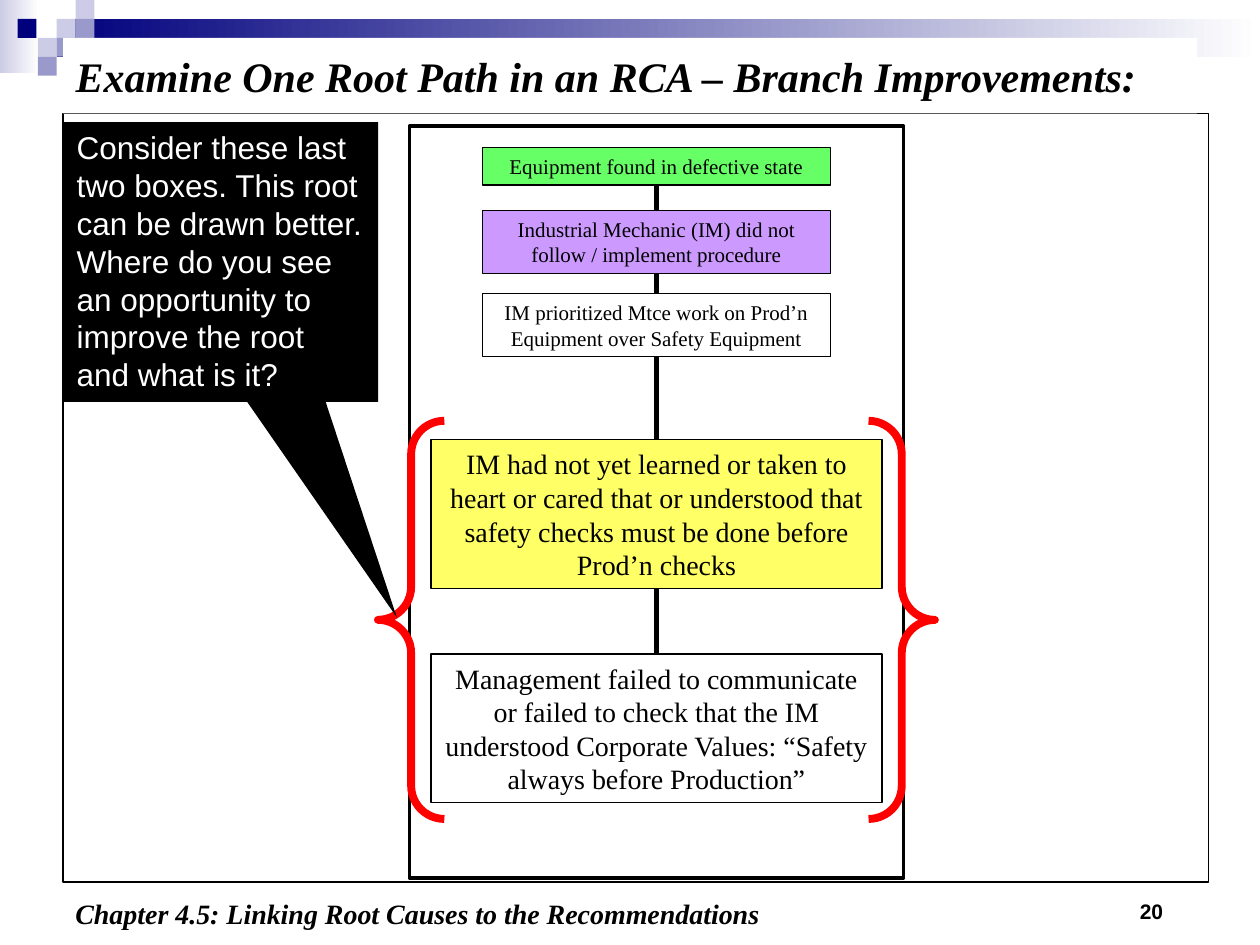
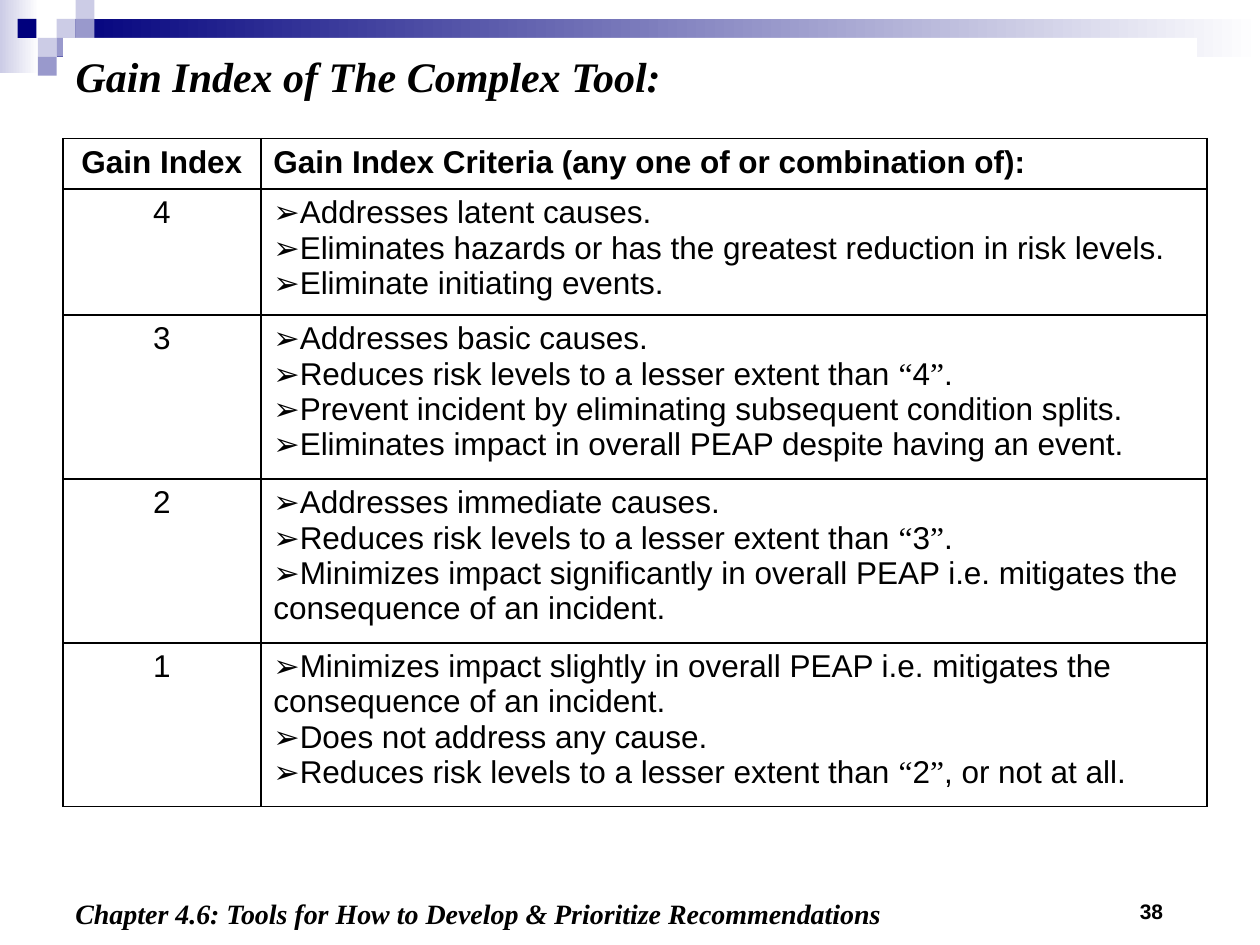
from itertools import groupby, pairwise

from lxml import etree
from pptx import Presentation
from pptx import util as u
from pptx.dml.color import RGBColor
from pptx.enum import shapes, text
from pptx.oxml import parse_xml
from pptx.oxml.ns import nsdecls, qn

COLUMNS, ROWS = 100, 75
WIDTH, HEIGHT = u.Inches(10), u.Inches(7.5)
BLACK, WHITE, RED = "000000", "FFFFFF", "FF0000"
NAVY, LILAC, PALE = "00007D", "9999CC", "CCCCE6"
GREEN, PURPLE, YELLOW = "66FF66", "CC99FF", "FFFF66"
SERIF, SANS = "Times New Roman", "Arial"
RECT = shapes.MSO_SHAPE.RECTANGLE
LEFT, CENTER, RIGHT = (text.PP_ALIGN.LEFT, text.PP_ALIGN.CENTER,
                       text.PP_ALIGN.RIGHT)
MIDDLE = text.MSO_ANCHOR.MIDDLE

TITLE = dict(name=SERIF, size=u.Pt(24), bold=True, italic=True)
CHAPTER = dict(TITLE, size=u.Pt(16))
PAGE = dict(name=SANS, size=u.Pt(12), bold=True)
BODY = dict(name=SANS, size=u.Pt(18), bold=False)
HEAD = dict(BODY, bold=True)
CAUSE = dict(name=SERIF, size=u.Pt(12))
ROOT_CAUSE = dict(CAUSE, size=u.Pt(16))

CAUSE_SPAN, ROOT_SPAN = (38.3, 27.6), (34.2, 35.8)
# span (column, width), row, height, fill, format, wording
CAUSES = [
    (CAUSE_SPAN, 11.7, 3, GREEN, CAUSE, "Equipment found in defective state"),
    (CAUSE_SPAN, 16.7, 5, PURPLE, CAUSE,
     "Industrial Mechanic (IM) did not follow / implement procedure"),
    (CAUSE_SPAN, 23.3, 5, WHITE, CAUSE,
     "IM prioritized Mtce work on Prod’n Equipment over Safety Equipment"),
    (ROOT_SPAN, 34.9, 11.8, YELLOW, ROOT_CAUSE,
     "IM had not yet learned or taken to heart or cared that or understood "
     "that safety checks must be done before Prod’n checks"),
    (ROOT_SPAN, 51.9, 11.8, WHITE, ROOT_CAUSE,
     "Management failed to communicate or failed to check that the IM "
     "understood Corporate Values: “Safety always before Production”"),
]
QUESTION = ("Consider these last two boxes. This root can be drawn better. "
            "Where do you see an opportunity to improve the root and what is it?")

GAIN_HEADS = ("Gain Index", "Gain Index Criteria (any one of or combination of):")
GAINS = {
    "4": ["Addresses latent causes.",
          "Eliminates hazards or has the greatest reduction in risk levels.",
          "Eliminate initiating events."],
    "3": ["Addresses basic causes.",
          "Reduces risk levels to a lesser extent than “4”.",
          "Prevent incident by eliminating subsequent condition splits.",
          "Eliminates impact in overall PEAP despite having an event."],
    "2": ["Addresses immediate causes.",
          "Reduces risk levels to a lesser extent than “3”.",
          "Minimizes impact significantly in overall PEAP i.e. mitigates the "
          "consequence of an incident."],
    "1": ["Minimizes impact slightly in overall PEAP i.e. mitigates the "
          "consequence of an incident.",
          "Does not address any cause.",
          "Reduces risk levels to a lesser extent than “2”, or not at all."],
}


def rgb(hex_colour):
    return RGBColor.from_string(hex_colour)


def across(columns):
    return round(WIDTH * columns / COLUMNS)


def down(rows):
    return round(HEIGHT * rows / ROWS)


def place(column, row, columns, rows):
    return across(column), down(row), across(columns), down(rows)


def paint(target, colour):
    target.fill.solid()
    target.fill.fore_color.rgb = rgb(colour)


def style(obj, values):
    for name, value in values.items():
        setattr(obj, name, value)


def add_run(p, words, fmt, colour=BLACK):
    r = p.add_run()
    r.text = words
    style(r.font, fmt)
    r.font.color.rgb = rgb(colour)


def write(tf, words, fmt, align=LEFT, colour=BLACK, spacing=None, **frame):
    style(tf, dict(word_wrap=True, **frame))
    p = tf.paragraphs[0]
    style(p, dict(alignment=align, line_spacing=spacing))
    add_run(p, words, fmt, colour)


def add_box(slide, at, fill=None, line=None, weight=0.75, kind=RECT):
    sp = slide.shapes.add_shape(kind, *place(*at))
    sp.shadow.inherit = False
    if fill:
        paint(sp, fill)
    else:
        sp.fill.background()
    if line:
        sp.line.color.rgb = rgb(line)
        sp.line.width = u.Pt(weight)
    else:
        sp.line.fill.background()
    return sp


def add_label(slide, at, words, fmt, **options):
    box = slide.shapes.add_textbox(*place(*at))
    write(box.text_frame, words, fmt, **options)


def join(slide, upper, lower):
    line = slide.shapes.add_connector(shapes.MSO_CONNECTOR.STRAIGHT, 0, 0, 0, 0)
    line.begin_connect(upper, 2)
    line.end_connect(lower, 0)
    line.line.color.rgb = rgb(BLACK)
    line.line.width = u.Pt(3)
    etree.SubElement(line.element.spPr, qn("a:effectLst"))


def fade(sp, colour):
    sp.fill.gradient()
    sp.fill.gradient_angle = 0
    for stop, end in zip(sp.fill.gradient_stops, (colour, WHITE)):
        stop.color.rgb = rgb(end)


def decorate_master(prs, slide):
    """Draw the corner mosaic and top band, then move them to the master."""
    side, band = (add_box(slide, at, WHITE)
                  for at in ((0, 0, 3.1, 5.8), (4.5, 1.5, 95.5, 3)))
    fade(side, PALE)
    fade(band, NAVY)
    tile = 1.5
    mosaic = [(3, 1, PALE), (4, 0, PALE), (4, 1, LILAC), (2, 2, PALE),
              (0.93, 1, NAVY), (3, 2, LILAC), (2, 3, LILAC)]
    tiles = [add_box(slide, (x * tile, y * tile, tile, tile), colour)
             for x, y, colour in mosaic]
    tree = prs.slide_master.element.cSld.spTree
    for i, sp in enumerate([side, band, *tiles]):
        tree.insert(2 + i, sp.element)


def add_page(prs, title, chapter, number):
    slide = prs.slides.add_slide(prs.slide_layouts[5])
    sp = slide.shapes.title
    sp.left, sp.top, sp.width, sp.height = place(5, 3, 90, 6)
    paint(sp, WHITE)
    write(sp.text_frame, title, TITLE, vertical_anchor=MIDDLE,
          auto_size=text.MSO_AUTO_SIZE.NONE)
    add_label(slide, (83.3, 70.8, 10, 2.5), number, PAGE, align=RIGHT)
    add_label(slide, (5, 71, 67, 4), chapter, CHAPTER, spacing=0.9)
    return slide


def draw_root_path(slide):
    frame = add_box(slide, (5, 9, 90.9, 61), WHITE, BLACK)
    slide.shapes.title.element.addprevious(frame.element)
    add_box(slide, (32.5, 10, 39.2, 59.7), WHITE, BLACK, 2)
    boxes = []
    for (column, columns), row, rows, fill, fmt, words in CAUSES:
        sp = add_box(slide, (column, row, columns, rows), fill, BLACK)
        write(sp.text_frame, words, fmt, align=CENTER, vertical_anchor=MIDDLE)
        boxes.append(sp)
    for upper, lower in pairwise(boxes):
        join(slide, upper, lower)
    add_box(slide, (30, 33.4, 44.2, 31.6), None, RED, 4.5,
            shapes.MSO_SHAPE.DOUBLE_BRACE)
    callout = add_box(slide, (5.1, 9.7, 24.9, 22.2), BLACK,
                      kind=shapes.MSO_SHAPE.RECTANGULAR_CALLOUT)
    callout.adjustments[0], callout.adjustments[1] = 0.56, 1.27
    write(callout.text_frame, QUESTION, BODY, colour=WHITE,
          margin_right=across(1.2), vertical_anchor=text.MSO_ANCHOR.TOP)


def set_borders(cell):
    tc_pr = cell._tc.get_or_add_tcPr()
    for i, side in enumerate("LRTB"):
        tc_pr.insert(i, parse_xml(
            f'<a:ln{side} {nsdecls("a")} w="12700"><a:solidFill>'
            f'<a:srgbClr val="{BLACK}"/></a:solidFill></a:ln{side}>'))


def add_bullet(p):
    p_pr = p._p.get_or_add_pPr()
    etree.SubElement(p_pr, qn("a:buFont"), typeface=SANS)
    etree.SubElement(p_pr, qn("a:buChar"), char="➢")


def list_criteria(tf, criteria):
    """Write bulleted lines, with the quotation marks in the serif font."""
    for i, line in enumerate(criteria):
        p = tf.add_paragraph() if i else tf.paragraphs[0]
        add_bullet(p)
        for quoted, chars in groupby(line, key=lambda ch: ch in "“”"):
            add_run(p, "".join(chars), dict(BODY, name=SERIF if quoted else SANS))


def draw_gain_table(slide):
    columns, rows = (15.7, 75.1), (4, 10, 13, 13, 13)
    table = slide.shapes.add_table(
        len(rows), len(columns), *place(5, 11, sum(columns), sum(rows))).table
    style(table, dict(first_row=False, horz_banding=False))
    for column, width in zip(table.columns, columns):
        column.width = across(width)
    for row, height in zip(table.rows, rows):
        row.height = down(height)
    for cell in table.iter_cells():
        paint(cell, WHITE)
        set_borders(cell)
    for i, (words, align) in enumerate(zip(GAIN_HEADS, (CENTER, LEFT))):
        write(table.cell(0, i).text_frame, words, HEAD, align=align)
    for i, (index, criteria) in enumerate(GAINS.items(), 1):
        write(table.cell(i, 0).text_frame, index, BODY, align=CENTER)
        list_criteria(table.cell(i, 1).text_frame, criteria)


def main():
    prs = Presentation()
    prs.slide_width, prs.slide_height = WIDTH, HEIGHT
    path_slide = add_page(
        prs, "Examine One Root Path in an RCA – Branch Improvements:",
        "Chapter 4.5: Linking Root Causes to the Recommendations", "20")
    decorate_master(prs, path_slide)
    draw_root_path(path_slide)
    gain_slide = add_page(
        prs, "Gain Index of The Complex Tool:",
        "Chapter 4.6: Tools for How to Develop & Prioritize Recommendations", "38")
    draw_gain_table(gain_slide)
    prs.save("out.pptx")


if __name__ == "__main__":
    main()
